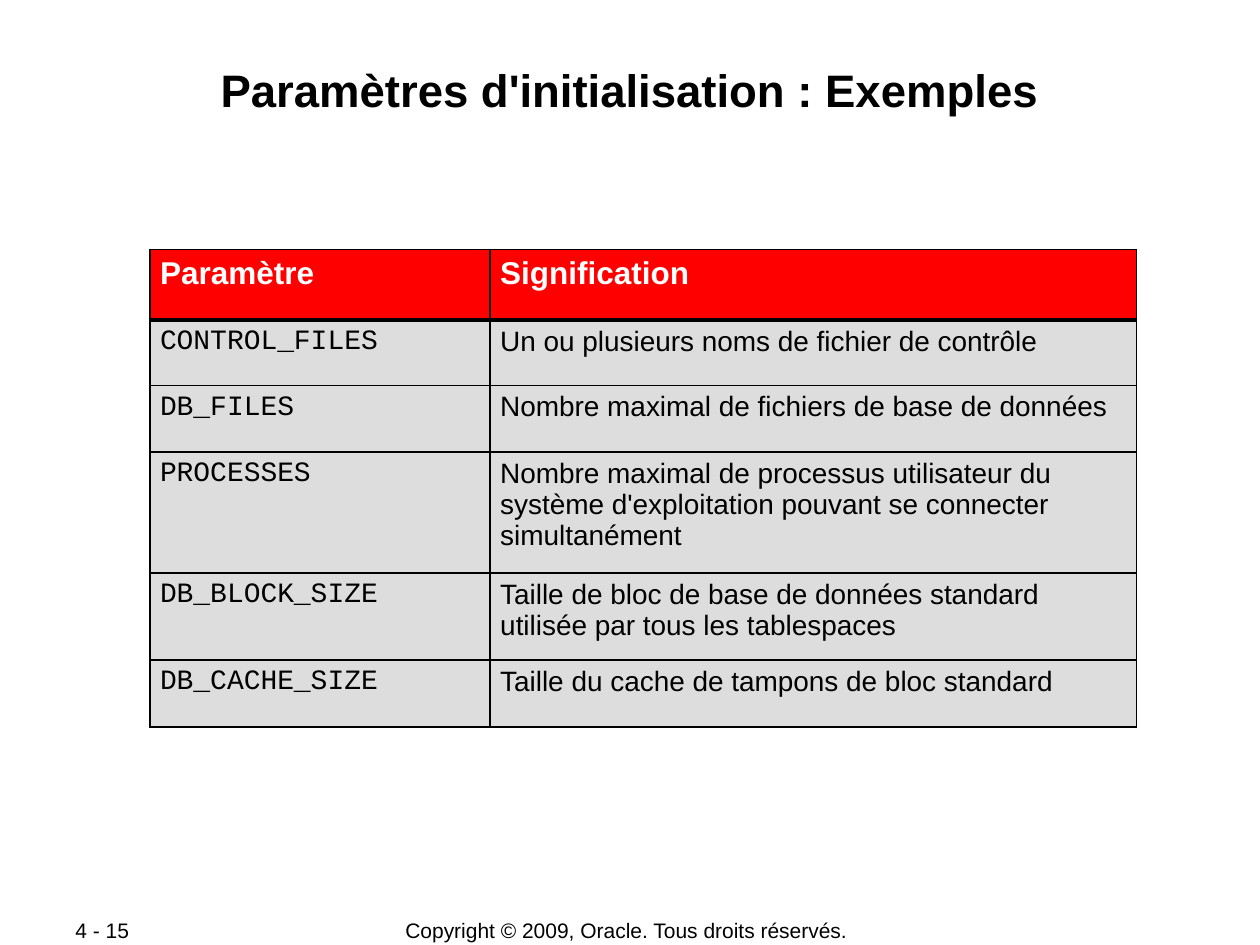
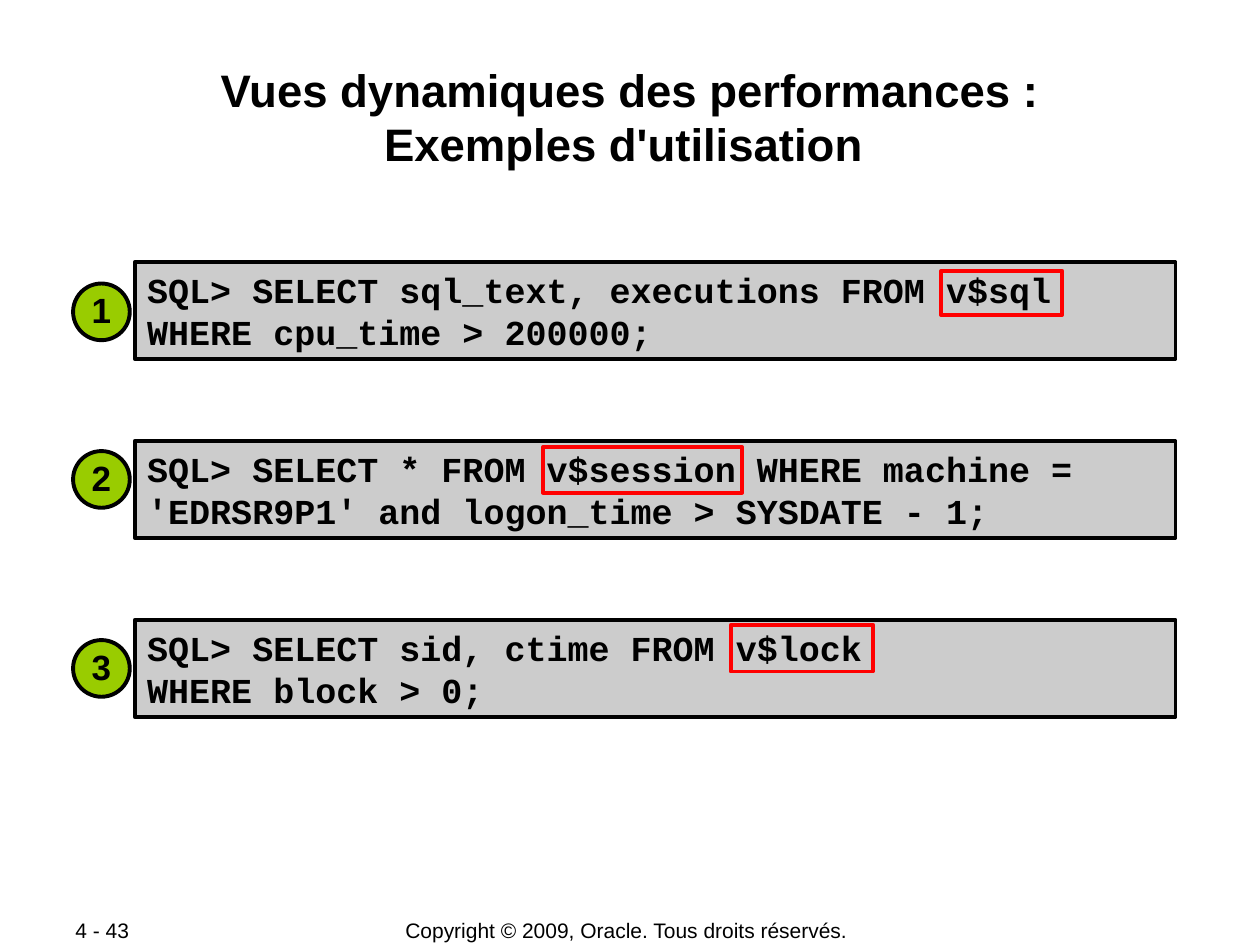
import pptx
import pptx.util
import pptx.dml.color
import pptx.enum.shapes
import pptx.enum.text
import pptx.oxml

PX = 9144
SANS = "Arial"
MONO = "Courier New"
HUES = {
    "ink": "000000",
    "white": "FFFFFF",
    "red": "FF0000",
    "pale": "DDDDDD",
    "gray": "CCCCCC",
    "lime": "99CC00",
}
KIND = pptx.enum.shapes.MSO_SHAPE
ALIGN = pptx.enum.text.PP_ALIGN
MID = pptx.enum.text.MSO_ANCHOR.MIDDLE
TOP = pptx.enum.text.MSO_ANCHOR.TOP
NS = "http://schemas.openxmlformats.org/drawingml/2006/main"


def write(frame, text, size, font=SANS, hue="ink", bold=False, align=ALIGN.LEFT,
          lead=1.0, pad=(10, 5, 10, 5), anchor=TOP, wrap=True):
    frame.auto_size = pptx.enum.text.MSO_AUTO_SIZE.NONE
    frame.word_wrap = wrap
    frame.vertical_anchor = anchor
    frame.margin_left, frame.margin_top, frame.margin_right, frame.margin_bottom = [
        n * PX for n in pad]
    para = frame.paragraphs[0]
    para.alignment = align
    para.line_spacing = lead
    for i, line in enumerate(text.split("\n")):
        if i:
            para.add_line_break()
        run = para.add_run()
        run.text = line
        run.font.name = font
        run.font.size = pptx.util.Pt(size)
        run.font.bold = bold
        run.font.color.rgb = pptx.dml.color.RGBColor.from_string(HUES[hue])


def draw(slide, kind, spot, fill, edge):
    shape = slide.shapes.add_shape(kind, *[n * PX for n in spot])
    shape.shadow.inherit = False
    if fill:
        shape.fill.solid()
        shape.fill.fore_color.rgb = pptx.dml.color.RGBColor.from_string(HUES[fill])
    else:
        shape.fill.background()
    shape.line.color.rgb = pptx.dml.color.RGBColor.from_string(HUES[edge])
    shape.line.width = pptx.util.Pt(2.25)
    return shape


deck = pptx.Presentation()
deck.slide_width = 1000 * PX
deck.slide_height = 750 * PX

heads = [
    ("Paramètres d'initialisation : Exemples", "4 - 15 "),
    ("Vues dynamiques des performances :\nExemples d'utilisation ", "4 - 43 "),
]
slides = []
for head, page in heads:
    slide = deck.slides.add_slide(deck.slide_layouts[5])
    title = slide.shapes.title
    title.left, title.top, title.width, title.height = [
        n * PX for n in (67, 48, 866, 96)]
    write(title.text_frame, head, 26, bold=True, align=ALIGN.CENTER, pad=(1, 1, 1, 1))
    feet = [
        ((275, 728, 449, 21), "Copyright © 2009, Oracle. Tous droits réservés. ", ALIGN.CENTER),
        ((50, 728, 106, 20), page, ALIGN.LEFT),
    ]
    for spot, text, align in feet:
        foot = slide.shapes.add_textbox(*[n * PX for n in spot])
        write(foot.text_frame, text, 12, align=align, anchor=MID)
    slides.append(slide)

rows = [
    ("Paramètre", "Signification", 56),
    ("CONTROL_FILES", "Un ou plusieurs noms de fichier de contrôle", 52),
    ("DB_FILES", "Nombre maximal de fichiers de base de données", 53),
    ("PROCESSES", "Nombre maximal de processus utilisateur du système "
     "d'exploitation pouvant se connecter simultanément", 96),
    ("DB_BLOCK_SIZE", "Taille de bloc de base de données standard utilisée "
     "par tous les tablespaces", 69),
    ("DB_CACHE_SIZE", "Taille du cache de tampons de bloc standard", 53),
]
wides = (270, 513)
tall = sum(row[2] for row in rows)
grid = slides[0].shapes.add_table(
    len(rows), 2, 119 * PX, 198 * PX, sum(wides) * PX, tall * PX).table
grid.horz_banding = False
for c, wide in enumerate(wides):
    grid.columns[c].width = wide * PX
for r, (name, sense, high) in enumerate(rows):
    grid.rows[r].height = high * PX
    for c, text in enumerate((name, sense)):
        cell = grid.cell(r, c)
        if r == 0:
            write(cell.text_frame, text, 18, hue="white", bold=True)
        else:
            write(cell.text_frame, text, 16, font=SANS if c else MONO)
        cell.vertical_anchor = TOP
        cell.margin_left = cell.margin_right = 8 * PX
        cell.margin_top = cell.margin_bottom = 5 * PX
        props = cell._tc.get_or_add_tcPr()
        for side in "LRTB":
            thick = (r, side) in ((0, "B"), (1, "T"))
            width = pptx.util.Pt(2.21 if thick else 1.08)
            props.append(pptx.oxml.parse_xml(
                f'<a:ln{side} xmlns:a="{NS}" w="{width}"><a:solidFill>'
                f'<a:srgbClr val="{HUES["ink"]}"/></a:solidFill></a:ln{side}>'))
        cell.fill.solid()
        cell.fill.fore_color.rgb = pptx.dml.color.RGBColor.from_string(
            HUES["pale" if r else "red"])

codes = [
    ("SQL> SELECT sql_text, executions FROM v$sql WHERE cpu_time > 200000;",
     (747, 215, 96, 35), 225),
    ("SQL> SELECT * FROM v$session WHERE machine = 'EDRSR9P1' and "
     "logon_time > SYSDATE - 1;", (431, 355, 158, 36), 358),
    ("SQL> SELECT sid, ctime FROM v$lock\nWHERE block > 0;",
     (580, 496, 113, 37), 508),
]
for i, (code, mark, top) in enumerate(codes):
    box = draw(slides[1], KIND.RECTANGLE, (107, 208 + 142 * i, 826, 77), "gray", "ink")
    write(box.text_frame, code, 20, font=MONO, bold=True)
    draw(slides[1], KIND.RECTANGLE, mark, None, "red")
    ball = draw(slides[1], KIND.OVAL, (58, top, 45, 45), "lime", "ink")
    write(ball.text_frame, str(i + 1), 20, bold=True, align=ALIGN.CENTER, lead=0.95,
          pad=(5, 5, 5, 5), anchor=MID, wrap=False)

deck.save("out.pptx")
